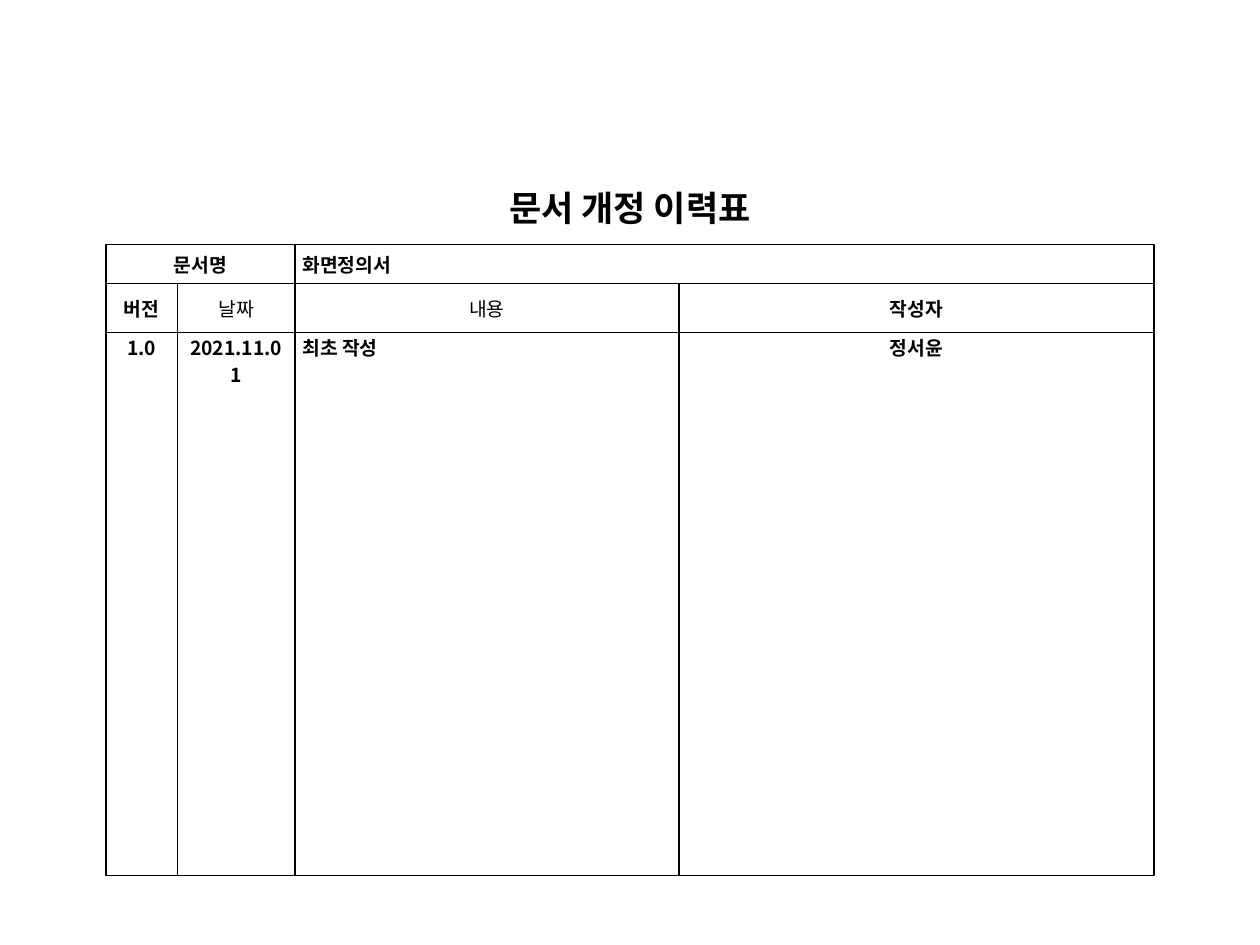
from lxml.etree import SubElement
from pptx import Presentation
from pptx.dml.color import RGBColor
from pptx.enum.text import MSO_ANCHOR as Anchor, PP_ALIGN as Align
from pptx.oxml.ns import qn
from pptx.util import Pt

COLORS = {"paper": "FFFFFF", "ink": "000000"}
FONT = "Noto Sans CJK KR"
COLUMN_WIDTHS = [41.04, 66.96, 219.6, 271.44]
ROW_HEIGHTS = [73.44, 22.32, 28.08, 310.32]


def set_borders(cell, colors):
    """Draw 1 pt borders in the order left, right, top, bottom."""
    properties = cell._tc.get_or_add_tcPr()
    for position, (side, color) in enumerate(zip("LRTB", colors)):
        line = SubElement(properties, qn(f"a:ln{side}"), w=str(Pt(1)))
        fill = SubElement(line, qn("a:solidFill"))
        SubElement(fill, qn("a:srgbClr"), val=COLORS[color])
        properties.insert(position, line)


def write_cell(cell, text, size=11, bold=True, align=Align.CENTER,
               anchor=Anchor.MIDDLE, bottom=0):
    cell.vertical_anchor = anchor
    cell.margin_left = cell.margin_right = Pt(4.32)
    cell.margin_top, cell.margin_bottom = Pt(0), Pt(bottom)
    paragraph = cell.text_frame.paragraphs[0]
    paragraph.alignment = align
    run = paragraph.add_run()
    run.text = text
    run.font.size, run.font.bold, run.font.name = Pt(size), bold, FONT
    run.font.color.rgb = RGBColor.from_string(COLORS["ink"])
    SubElement(run._r.get_or_add_rPr(), qn("a:ea"), typeface=FONT)


def add_history_table(slide, left, top):
    table = slide.shapes.add_table(
        len(ROW_HEIGHTS), len(COLUMN_WIDTHS), Pt(left), Pt(top),
        Pt(sum(COLUMN_WIDTHS)), Pt(sum(ROW_HEIGHTS))).table
    table.first_row = table.horz_banding = False
    for column, width in zip(table.columns, COLUMN_WIDTHS):
        column.width = Pt(width)
    for row, height in zip(table.rows, ROW_HEIGHTS):
        row.height = Pt(height)

    # Grid: the title row is open on three sides
    for index, row in enumerate(table.rows):
        outer = "paper" if index == 0 else "ink"
        for cell in row.cells:
            cell.fill.solid()
            cell.fill.fore_color.rgb = RGBColor.from_string(COLORS["paper"])
            set_borders(cell, [outer, outer, outer, "ink"])

    # Title and document name
    table.cell(0, 0).merge(table.cell(0, 3))
    table.cell(1, 0).merge(table.cell(1, 1))
    table.cell(1, 2).merge(table.cell(1, 3))
    write_cell(table.cell(0, 0), "문서 개정 이력표", size=20,
               anchor=Anchor.BOTTOM, bottom=7.5)
    write_cell(table.cell(1, 0), "문서명")
    write_cell(table.cell(1, 2), "화면정의서", align=Align.JUSTIFY)

    # Column heads
    heads = [("버전", True), ("날짜", False), ("내용", False), ("작성자", True)]
    for column, (text, bold) in enumerate(heads):
        write_cell(table.cell(2, column), text, bold=bold)

    # First revision
    for column, text in enumerate(["1.0", "2021.11.01", "최초 작성", "정서윤"]):
        align = Align.JUSTIFY if column == 2 else Align.CENTER
        write_cell(table.cell(3, column), text, align=align, anchor=Anchor.TOP)


def main():
    presentation = Presentation()
    presentation.slide_width, presentation.slide_height = Pt(720), Pt(540)
    slide = presentation.slides.add_slide(presentation.slide_layouts[6])
    add_history_table(slide, 60.48, 66.24)
    presentation.save("out.pptx")


if __name__ == "__main__":
    main()
